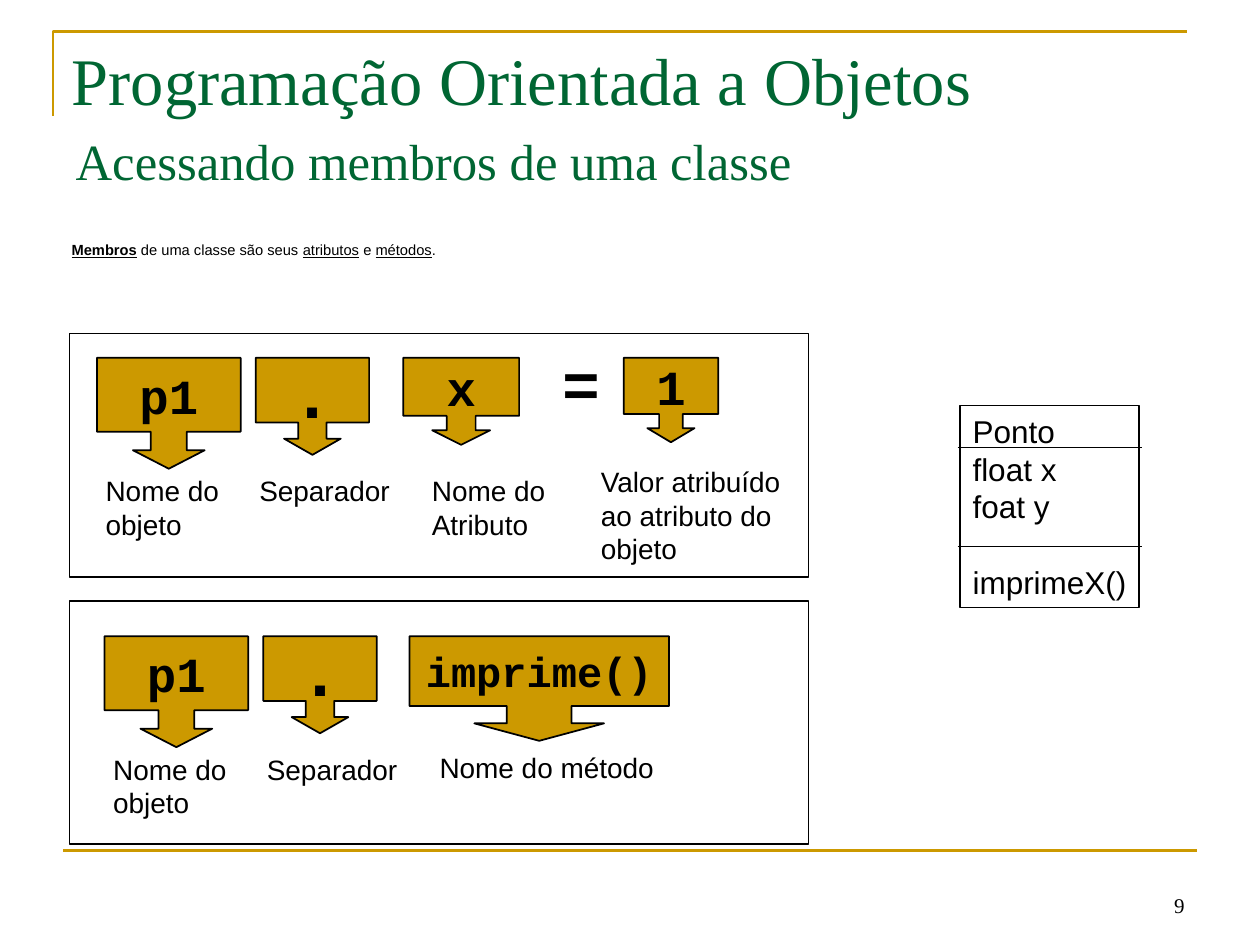
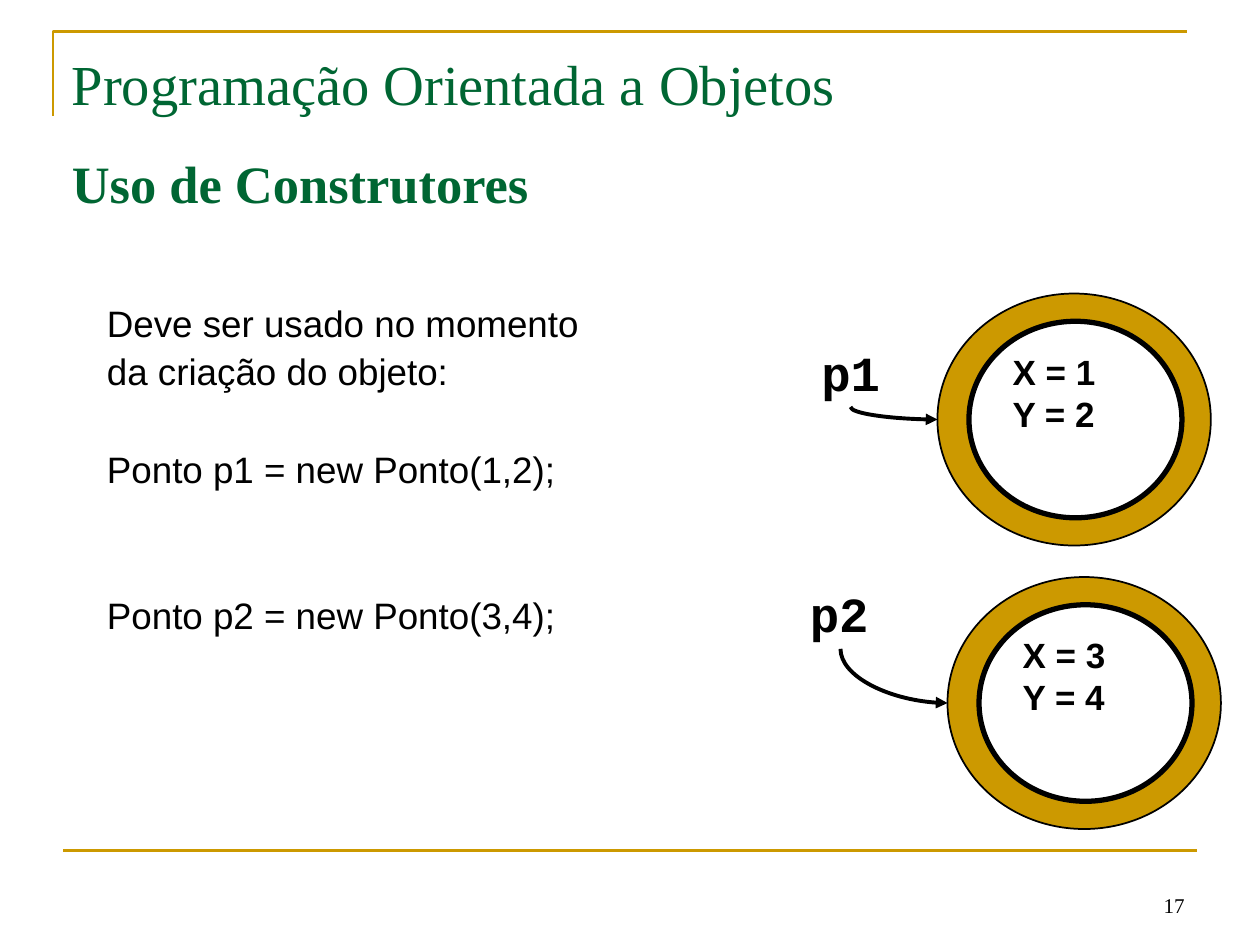
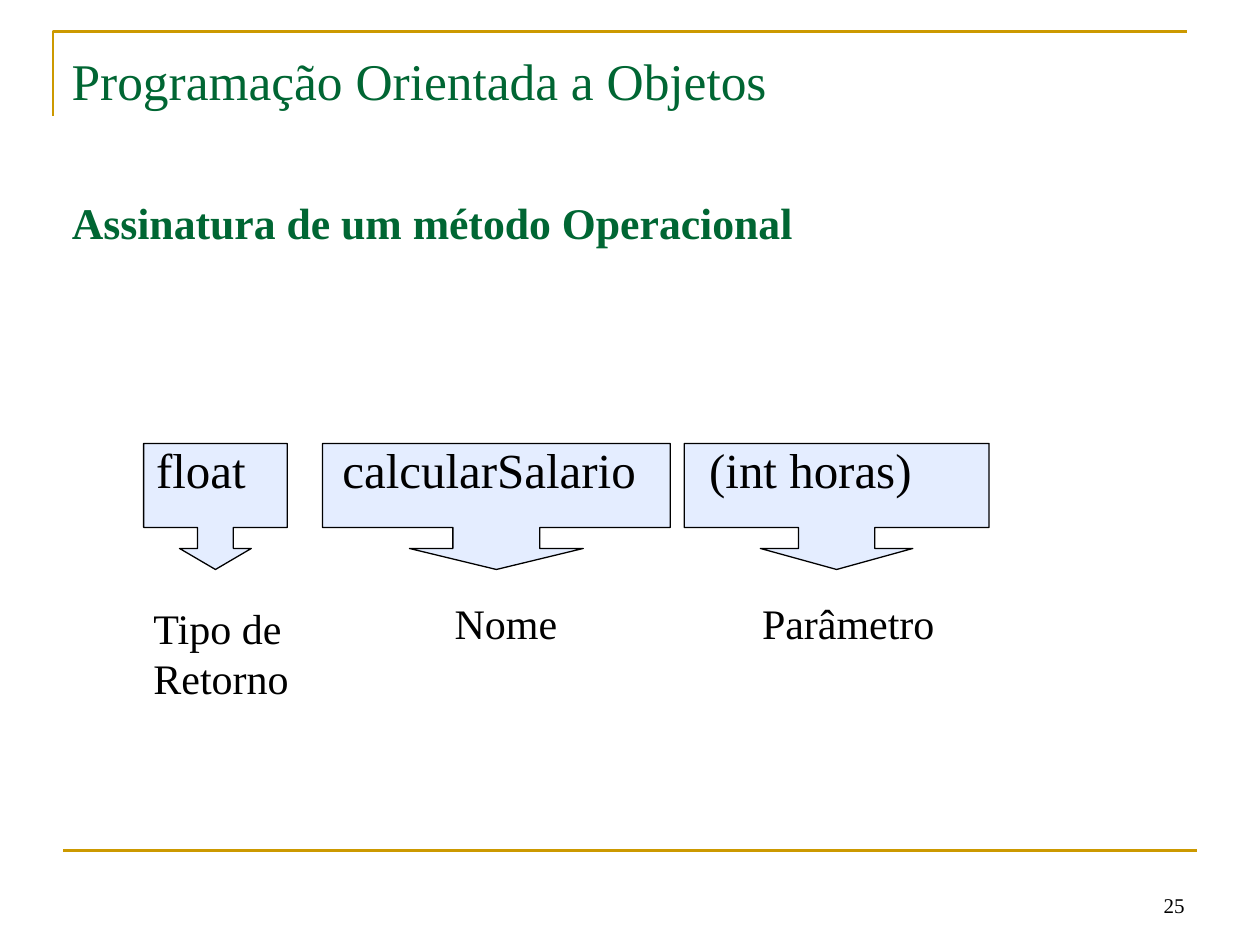
from dataclasses import dataclass, replace
from typing import Optional, Sequence

import pptx
import pptx.dml.color
import pptx.enum.shapes
import pptx.enum.text
import pptx.oxml.ns
import pptx.oxml.xmlchemy
import pptx.util
from pptx.util import Inches

GOLD, GREEN, BLACK, WHITE, PALE_BLUE = "CC9900", "006633", "000000", "FFFFFF", "E4EDFF"
SANS, SERIF, MONO = "Arial", "Times New Roman", "Courier New"
SHAPE = pptx.enum.shapes.MSO_SHAPE
CONNECTOR = pptx.enum.shapes.MSO_CONNECTOR
ALIGN = pptx.enum.text.PP_ALIGN
ANCHOR = pptx.enum.text.MSO_ANCHOR
LINE_HEIGHT = 1.2


@dataclass(frozen=True)
class Box:
    left: float
    top: float
    width: float
    height: float

    def inches(self) -> tuple:
        return tuple(Inches(v) for v in (self.left, self.top, self.width, self.height))


@dataclass(frozen=True)
class Style:
    size: float
    font: str = SANS
    color: str = BLACK
    bold: bool = False
    align: ALIGN = ALIGN.LEFT
    anchor: ANCHOR = ANCHOR.TOP
    spacing: float = 1.0
    space_before: float = 0
    margin_y: float = 0.05


@dataclass(frozen=True)
class Callout:
    text: str
    box: Box
    size: float = 28


@dataclass(frozen=True)
class Label:
    lines: Sequence[str]
    box: Box


@dataclass(frozen=True)
class PointObject:
    """A named object drawn as a ring that holds its values."""
    name: str
    values: Sequence[str]
    name_at: tuple
    ring_at: tuple
    arrow_from: tuple


HEADER = Style(38, SERIF, GREEN, anchor=ANCHOR.MIDDLE)
SUBTITLE = Style(29, SERIF, GREEN)
NUMBER = Style(12, SERIF, align=ALIGN.RIGHT, anchor=ANCHOR.BOTTOM)
CODE = Style(28, MONO, bold=True, align=ALIGN.CENTER, anchor=ANCHOR.MIDDLE)
CAPTION = Style(16)
SIGNATURE = Style(24, SERIF)


def rgb(color: str) -> pptx.dml.color.RGBColor:
    return pptx.dml.color.RGBColor.from_string(color)


def format_para(para, style: Style, extra_before: float = 0) -> None:
    para.alignment = style.align
    para.line_spacing = pptx.util.Pt(style.size * LINE_HEIGHT * style.spacing)
    para.space_before = pptx.util.Pt(style.space_before + extra_before)
    para.font.size = pptx.util.Pt(style.size)
    para.font.name = style.font
    para.font.bold = style.bold
    para.font.color.rgb = rgb(style.color)


def write(shape, lines: Sequence[str], style: Style, gaps: Optional[dict] = None) -> None:
    """Fill a shape with paragraphs; gaps maps a line index to extra points before it."""
    frame = shape.text_frame
    frame.word_wrap = True
    frame.auto_size = pptx.enum.text.MSO_AUTO_SIZE.NONE
    frame.vertical_anchor = style.anchor
    frame.margin_left = Inches(0.1)
    frame.margin_right = Inches(0 if style.align == ALIGN.LEFT else 0.1)
    frame.margin_top = frame.margin_bottom = Inches(style.margin_y)
    for index, line in enumerate(lines):
        para = frame.paragraphs[0] if index == 0 else frame.add_paragraph()
        para.add_run().text = line
        format_para(para, style, (gaps or {}).get(index, 0))


def add_text(page, box: Box, lines: Sequence[str], style: Style,
             gaps: Optional[dict] = None) -> None:
    write(page.shapes.add_textbox(*box.inches()), lines, style, gaps)


def paint(shape, fill: Optional[str], line: str, width: float) -> None:
    shape.shadow.inherit = False
    if fill:
        shape.fill.solid()
        shape.fill.fore_color.rgb = rgb(fill)
    else:
        shape.fill.background()
    shape.line.color.rgb = rgb(line)
    shape.line.width = pptx.util.Pt(width)


def add_shape(page, kind: SHAPE, box: Box, fill: Optional[str], width: float):
    shape = page.shapes.add_shape(kind, *box.inches())
    paint(shape, fill, BLACK, width)
    return shape


def add_line(page, start: tuple, end: tuple, color: str, width: float,
             kind: CONNECTOR = CONNECTOR.STRAIGHT):
    line = page.shapes.add_connector(kind, *(Inches(v) for v in (*start, *end)))
    line.line.color.rgb = rgb(color)
    line.line.width = pptx.util.Pt(width)
    properties = line._element.spPr
    properties.append(pptx.oxml.xmlchemy.OxmlElement("a:effectLst"))
    return line


def add_bent_arrow(page, start: tuple, end: tuple) -> None:
    """Draw a curved arrow that leaves downwards and arrives from the left."""
    across, down = end[0] - start[0], end[1] - start[1]
    middle_x, middle_y = start[0] + across / 2, start[1] + down / 2
    arrow = add_line(page, (middle_x - down / 2, middle_y - across / 2),
                     (middle_x + down / 2, middle_y + across / 2),
                     BLACK, 2.25, CONNECTOR.CURVE)
    properties = arrow._element.spPr
    frame = properties.find(pptx.oxml.ns.qn("a:xfrm"))
    frame.set("rot", "16200000")
    frame.set("flipH", "1")
    properties.find(pptx.oxml.ns.qn("a:prstGeom")).set("prst", "curvedConnector2")
    head = pptx.oxml.xmlchemy.OxmlElement("a:tailEnd")
    head.set("type", "triangle")
    properties.find(pptx.oxml.ns.qn("a:ln")).append(head)


def add_callout(page, box: Box, fill: str, width: float):
    """Draw a down-arrow callout whose stem is a quarter of its width."""
    shape = add_shape(page, SHAPE.DOWN_ARROW_CALLOUT, box, fill, width)
    stem = box.width / 4 / min(box.width, box.height)
    for index, value in enumerate((stem, stem, 1 / 6, 2 / 3)):
        shape.adjustments[index] = value
    return shape


def add_page(deck, number: int, subtitle: str, subtitle_box: Box, subtitle_style: Style,
             header_box: Box, header_size: float):
    page = deck.slides.add_slide(deck.slide_layouts[5])
    builder = page.shapes.build_freeform(Inches(0.42), Inches(0.92), scale=1.0)
    builder.add_line_segments([(Inches(0.42), Inches(0.25)), (Inches(9.42), Inches(0.25))],
                              close=False)
    paint(builder.convert_to_shape(), None, GOLD, 1.5)
    add_line(page, (0.5, 6.75), (9.5, 6.75), GOLD, 1.5)
    add_text(page, Box(7.17, 6.83, 2.33, 0.5), [str(number)], NUMBER)
    title = page.shapes.title
    title.left, title.top, title.width, title.height = subtitle_box.inches()
    write(title, [subtitle], subtitle_style)
    add_text(page, header_box, ["Programação Orientada a Objetos"],
             replace(HEADER, size=header_size))
    return page


def add_class_diagram(page) -> None:
    diagram = add_shape(page, SHAPE.RECTANGLE, Box(7.62, 3.22, 1.42, 1.6), None, 0.75)
    style = Style(18)
    write(diagram, ["Ponto", "float x", "foat y", "imprimeX()"], style,
          {3: style.size * LINE_HEIGHT})
    for y in (3.55, 4.34):
        add_line(page, (7.6, y), (9.06, y), BLACK, 0.75)


def add_object_access(page, left: float, top: float) -> None:
    """Draw the object name and the separator that start each access."""
    for part in (Callout("p1", Box(left, top, 1.14, 0.88)),
                 Callout(".", Box(left + 1.26, top, 0.9, 0.77), 40)):
        add_code(page, part)
    for label in (Label(["Nome do", "objeto"], Box(left - 0.03, top + 0.87, 1.16, 0.64)),
                  Label(["Separador"], Box(left + 1.19, top + 0.87, 1.23, 0.64))):
        add_text(page, label.box, label.lines, CAPTION)


def add_code(page, part: Callout) -> None:
    write(add_callout(page, part.box, GOLD, 1), [part.text], replace(CODE, size=part.size))


def build_members(deck) -> None:
    page = add_page(deck, 9, "Acessando membros de uma classe", Box(0.5, 0.98, 9, 0.57),
                    SUBTITLE, Box(0.47, 0.25, 8.92, 0.75), 38)
    intro = page.shapes.add_textbox(*Box(0.47, 1.86, 9.14, 0.63).inches())
    write(intro, ["Membros"], Style(8.4))
    para = intro.text_frame.paragraphs[0]
    para.runs[0].font.bold = para.runs[0].font.underline = True
    for text, underlined in ((" de uma classe são seus ", False), ("atributos", True),
                             (" e ", False), ("métodos", True), (".", False)):
        span = para.add_run()
        span.text = text
        span.font.underline = underlined

    add_object_access(page, 0.77, 2.84)
    add_object_access(page, 0.83, 5.05)
    for part in (Callout("x", Box(3.2, 2.84, 0.92, 0.69)),
                 Callout("1", Box(4.95, 2.84, 0.75, 0.67)),
                 Callout("imprime()", Box(3.25, 5.05, 2.06, 0.83), 24)):
        add_code(page, part)
    for label in (Label(["Nome do", "Atributo"], Box(3.33, 3.71, 1.1, 0.64)),
                  Label(["Valor atribuído", "ao atributo do", "objeto"],
                        Box(4.67, 3.64, 1.7, 0.9)),
                  Label(["Nome do método"], Box(3.39, 5.91, 2.09, 0.64))):
        add_text(page, label.box, label.lines, CAPTION)
    add_text(page, Box(4.24, 2.84, 0.75, 0.39), ["="], replace(CODE, size=36))
    for top in (2.65, 4.77):
        add_shape(page, SHAPE.RECTANGLE, Box(0.55, top, 5.87, 1.93), None, 0.75)
    add_class_diagram(page)


def add_point_object(page, point: PointObject) -> None:
    left, top = point.ring_at
    add_bent_arrow(page, point.arrow_from, (left, top + 1))
    add_text(page, Box(*point.name_at, 0.66, 0.57), [point.name],
             Style(28, MONO, bold=True))
    add_shape(page, SHAPE.OVAL, Box(left, top, 2.17, 2), GOLD, 1)
    core = add_shape(page, SHAPE.OVAL, Box(left + 0.25, top + 0.22, 1.69, 1.56), WHITE, 3)
    write(core, point.values, Style(20, bold=True, margin_y=0))


def build_constructors(deck) -> None:
    page = add_page(deck, 17, "Uso de Construtores", Box(0.47, 1.15, 5.59, 0.63),
                    replace(SUBTITLE, size=30, bold=True), Box(0.47, 0.32, 8.92, 0.67), 32.3)
    style = Style(21, spacing=0.9, space_before=5.2)
    pitch = style.size * LINE_HEIGHT * style.spacing + style.space_before
    add_text(page, Box(0.75, 2.37, 4.49, 3.16),
             ["Deve ser usado no momento", "da criação do objeto:",
              "Ponto p1 = new Ponto(1,2);", "Ponto p2 = new Ponto(3,4);"],
             style, {0: -style.space_before, 2: pitch, 3: 2 * pitch})
    for point in (PointObject("p1", ["X = 1", "Y = 2"], (6.42, 2.67), (7.44, 2.33), (6.75, 3.23)),
                  PointObject("p2", ["X = 3", "Y = 4"], (6.33, 4.58), (7.52, 4.58), (6.67, 5.15))):
        add_point_object(page, point)


def build_signature(deck) -> None:
    page = add_page(deck, 25, "Assinatura de um método Operacional",
                    Box(0.47, 1.5, 7.85, 0.85), replace(SUBTITLE, size=25, bold=True),
                    Box(0.47, 0.32, 8.92, 0.63), 29.4)
    for left, width in ((1.14, 1.14), (2.56, 2.76), (5.43, 2.42)):
        add_callout(page, Box(left, 3.52, width, 1), PALE_BLUE, 0.75)
    for text, left, width in (("float", 1.14, 1.14), ("calcularSalario", 2.62, 2.7),
                              ("(int horas)", 5.53, 2.32)):
        add_text(page, Box(left, 3.44, width, 0.57), [text], replace(SIGNATURE, size=28))
    for label in (Label(["Tipo de", "Retorno"], Box(1.12, 4.73, 1.27, 0.9)),
                  Label(["Nome"], Box(3.51, 4.69, 1.01, 0.5)),
                  Label(["Parâmetro"], Box(5.95, 4.69, 1.57, 0.5))):
        add_text(page, label.box, label.lines, SIGNATURE)


def main() -> None:
    deck = pptx.Presentation()
    deck.slide_width, deck.slide_height = Inches(10), Inches(7.5)
    build_members(deck)
    build_constructors(deck)
    build_signature(deck)
    deck.save("out.pptx")


if __name__ == "__main__":
    main()
